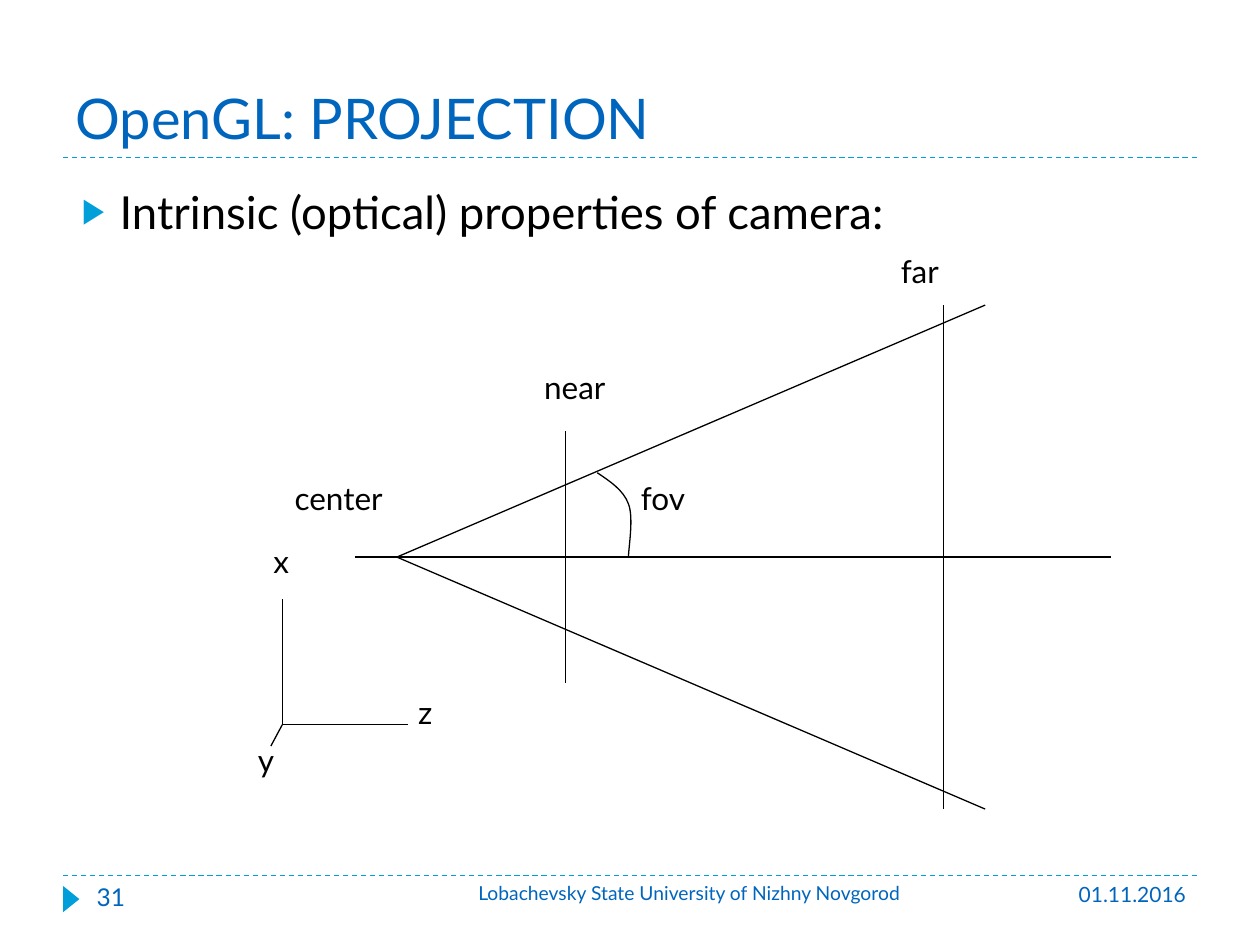
"""Build a slide on the optical properties of the OpenGL projection camera."""
import pptx
import pptx.dml.color
import pptx.enum.dml
import pptx.enum.shapes
import pptx.enum.text
import pptx.oxml
import pptx.oxml.ns
import pptx.util
from pptx.util import Cm

COLORS = {"title": "0065BD", "accent": "009FDA", "ink": "000000"}
ALIGN = pptx.enum.text.PP_ALIGN
ANCHOR = pptx.enum.text.MSO_ANCHOR


class SlideWriter:
    """Hold the style and the current slide, and draw each kind of element."""

    font = "Lato"
    line_width = pptx.util.Pt(0.75)

    def __init__(self, deck):
        self.slide = deck.slides.add_slide(deck.slide_layouts[5])
        self.shapes = self.slide.shapes

    def color(self, name):
        return pptx.dml.color.RGBColor.from_string(COLORS[name])

    def fill_text(self, frame, text, size, color, align, anchor):
        frame.word_wrap = True
        frame.auto_size = pptx.enum.text.MSO_AUTO_SIZE.NONE
        frame.vertical_anchor = anchor
        para = frame.paragraphs[0]
        para.alignment = align
        span = para.add_run()
        span.text = text
        span.font.name = self.font
        span.font.size = pptx.util.Pt(size)
        span.font.color.rgb = self.color(color)
        return para

    def title(self, text, left, top, width, height):
        box = self.shapes.title
        box.left, box.top, box.width, box.height = Cm(left), Cm(top), Cm(width), Cm(height)
        self.fill_text(box.text_frame, text, 32, "title", ALIGN.LEFT, ANCHOR.BOTTOM)

    def text(self, text, left, top, width, height, size=18, color="ink", align=ALIGN.LEFT):
        box = self.shapes.add_textbox(Cm(left), Cm(top), Cm(width), Cm(height))
        return self.fill_text(box.text_frame, text, size, color, align, ANCHOR.TOP)

    def bullet(self, text, left, top, width, height):
        para = self.text(text, left, top, width, height, size=26)
        para.space_before = pptx.util.Pt(6)
        properties = para._p.get_or_add_pPr()
        properties.set("marL", str(Cm(0.76)))
        properties.set("indent", str(-Cm(0.76)))
        namespace = pptx.oxml.ns.nsdecls("a")
        for xml in (
            f'<a:buClr {namespace}><a:srgbClr val="{COLORS["accent"]}"/></a:buClr>',
            f'<a:buSzPct {namespace} val="76000"/>',
            f'<a:buFont {namespace} typeface="Arial"/>',
            f'<a:buChar {namespace} char="▶"/>',
        ):
            properties.append(pptx.oxml.parse_xml(xml))

    def line(self, start, end, color="ink", dashed=False):
        straight = pptx.enum.shapes.MSO_CONNECTOR.STRAIGHT
        line = self.shapes.add_connector(straight, *map(Cm, start + end))
        line.line.color.rgb = self.color(color)
        line.line.width = self.line_width
        if dashed:
            line.line.dash_style = pptx.enum.dml.MSO_LINE.DASH
        effects = f'<a:effectLst {pptx.oxml.ns.nsdecls("a")}/>'
        line._element.spPr.append(pptx.oxml.parse_xml(effects))

    def curve(self, start, points):
        """Draw cubic Bezier segments, three points to a segment."""
        builder = self.shapes.build_freeform(*map(Cm, start))
        builder.add_line_segments([tuple(map(Cm, point)) for point in points], close=False)
        curve = builder.convert_to_shape()
        curve.shadow.inherit = False
        curve.fill.background()
        curve.line.color.rgb = self.color("ink")
        curve.line.width = self.line_width
        qn = pptx.oxml.ns.qn
        segments = list(curve._element.iter(qn("a:lnTo")))
        for first in range(0, len(segments), 3):
            outline = segments[first].getparent()
            bezier = outline.makeelement(qn("a:cubicBezTo"))
            segments[first].addprevious(bezier)
            for segment in segments[first:first + 3]:
                bezier.append(segment[0])
                outline.remove(segment)

    def triangle(self, left, top, width, height):
        kind = pptx.enum.shapes.MSO_SHAPE.ISOSCELES_TRIANGLE
        marker = self.shapes.add_shape(kind, Cm(left), Cm(top), Cm(width), Cm(height))
        marker.rotation = 90
        marker.shadow.inherit = False
        marker.fill.solid()
        marker.fill.fore_color.rgb = self.color("accent")
        marker.line.fill.background()


def main():
    deck = pptx.Presentation()
    deck.slide_width, deck.slide_height = Cm(25.4), Cm(19.05)
    page = SlideWriter(deck)

    footer_top = 17.65
    for rule_y in (footer_top, 3.17):
        page.line((1.27, rule_y), (24.13, rule_y), "accent", dashed=True)
    page.triangle(1.17, 17.96, 0.53, 0.33)
    page.title("OpenGL: PROJECTION", 1.27, 0.43, 22.86, 2.74)
    page.bullet("Intrinsic (optical) properties of camera:", 1.4, 3.58, 21.59, 1.9)

    apex_x, axis_y, reach = 8.0, 11.23, 5.08
    for side in (-1, 1):
        page.line((apex_x, axis_y), (19.86, axis_y + side * reach))
    page.line((7.16, axis_y), (22.4, axis_y))
    for plane_x, half in ((11.4, reach / 2), (19.02, reach)):
        page.line((plane_x, axis_y - half), (plane_x, axis_y + half))
    page.curve((12.04, 9.53), [
        (12.29, 9.7), (12.57, 9.88), (12.67, 10.16),
        (12.78, 10.44), (12.67, 11.05), (12.67, axis_y),
    ])

    origin = (5.69, 14.61)
    for tip in ((5.69, 12.07), (8.23, 14.61), (5.46, 15.04)):
        page.line(origin, tip)

    for label, left, top, width in (
        ("center", 5.69, 9.53, 2.84),
        ("near", 10.72, 7.29, 2.18),
        ("far", 17.91, 4.95, 1.52),
        ("fov", 12.67, 9.53, 1.65),
        ("x", 5.26, 10.8, 0.94),
        ("y", 4.95, 14.81, 0.94),
        ("z", 8.18, 13.84, 0.89),
    ):
        page.text(label, left, top, width, 1.27)

    for text, left, width, size, align in (
        ("31", 1.7, 5.51, 14, ALIGN.LEFT),
        ("Lobachevsky State University of Nizhny Novgorod", 8.74, 10.31, 11, ALIGN.CENTER),
        ("01.11.2016", 21.44, 2.72, 12, ALIGN.RIGHT),
    ):
        page.text(text, left, footer_top, width, 1.02, size, "title", align)

    deck.save("out.pptx")


if __name__ == "__main__":
    main()
